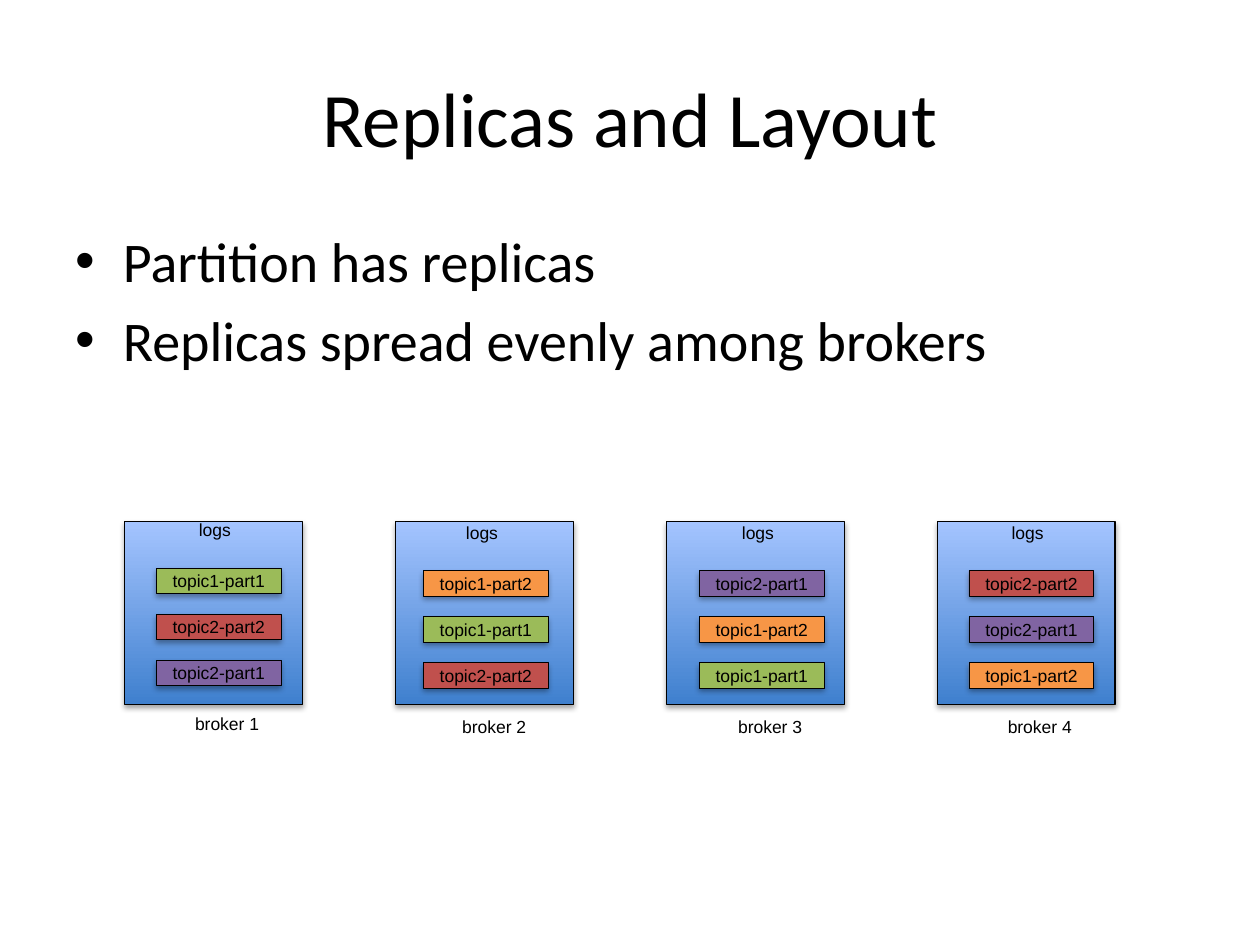
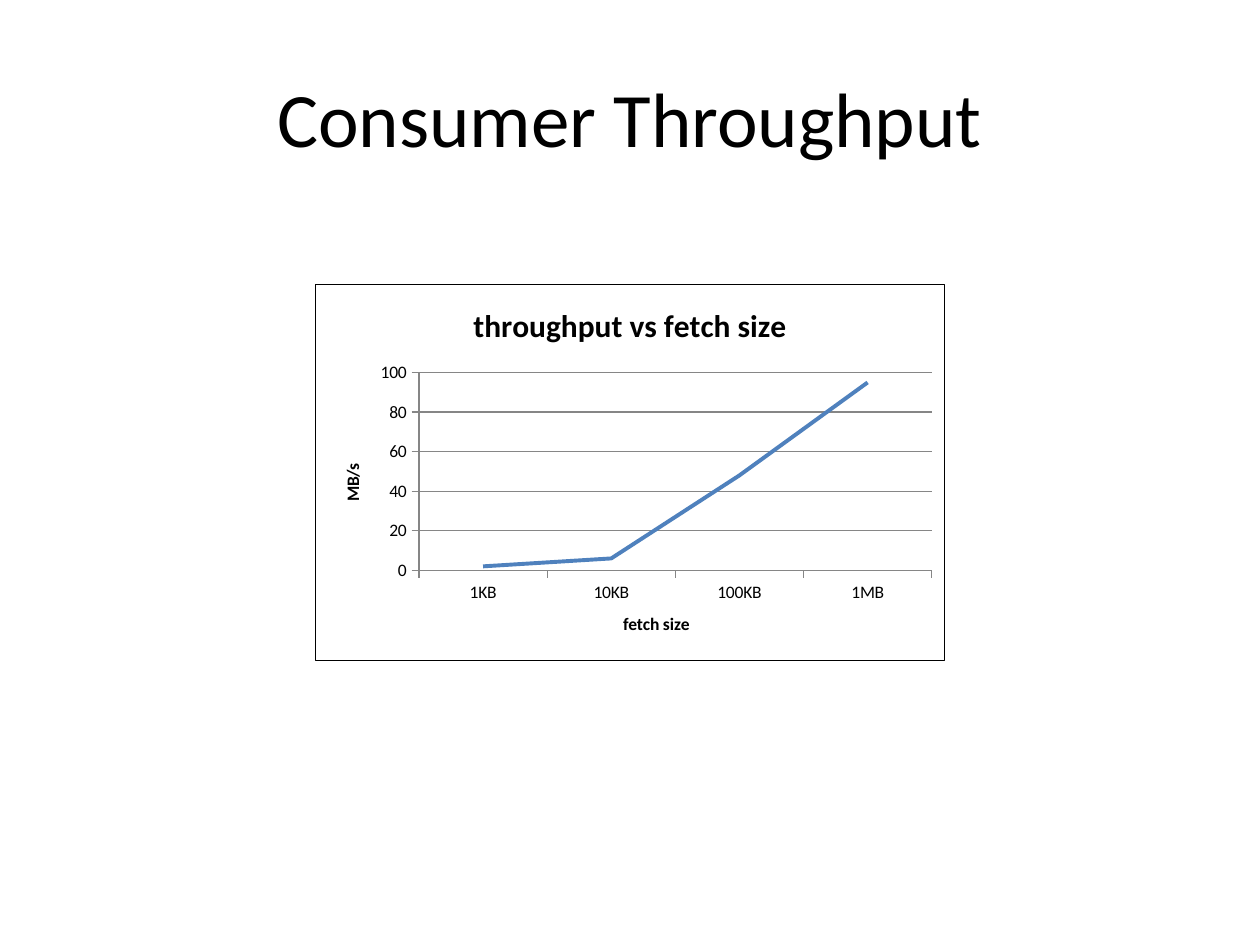
from lxml import etree
from pptx import Presentation
from pptx.chart.data import CategoryChartData as Data
from pptx.dml.color import RGBColor as RGB
from pptx.enum.chart import XL_CHART_TYPE as Kind, XL_TICK_MARK as Tick
from pptx.enum.shapes import MSO_SHAPE as Shape
from pptx.enum.text import MSO_ANCHOR as Anchor, PP_ALIGN as Align
from pptx.util import Inches, Pt

HUES = {
    "ink": "000000", "grid": "868686", "curve": "4F81BD",
    "low": "3F80CE", "high": "A4C4FF",
    "topic1-part1": "9BBB59", "topic1-part2": "F79646",
    "topic2-part1": "8064A2", "topic2-part2": "C0504D",
}
HEAD, LABEL = "Calibri", "Arial"

# Brokers: log offset inside the box, then partitions from top to bottom
BROKERS = [
    (0.25, 0.37, ["topic1-part1", "topic2-part2", "topic2-part1"]),
    (0.22, 0.39, ["topic1-part2", "topic1-part1", "topic2-part2"]),
    (0.26, 0.39, ["topic2-part1", "topic1-part2", "topic1-part1"]),
    (0.25, 0.39, ["topic2-part2", "topic2-part1", "topic1-part2"]),
]
PITCH, BOX_W, BOX_H = 2.15, 1.41, 1.45
CHIP_W, CHIP_H, CHIP_GAP = 0.99, 0.2, 0.365


def hue(name):
    return RGB.from_string(HUES[name])


def style(font, size, face, bold=None):
    font.size, font.name, font.bold = Pt(size), face, bold
    font.color.rgb = hue("ink")


def write(para, text, size, face, bold=None):
    run = para.add_run()
    run.text = text
    style(run.font, size, face, bold)


def place(shape, x, y, w, h):
    shape.left, shape.top = Inches(x), Inches(y)
    shape.width, shape.height = Inches(w), Inches(h)


def start(deck, layout, title):
    """Add a slide with the shared title style."""
    slide = deck.slides.add_slide(deck.slide_layouts[layout])
    place(slide.shapes.title, 0.5, 0.3, 9, 1.25)
    para = slide.shapes.title.text_frame.paragraphs[0]
    para.alignment = Align.CENTER
    write(para, title, 44, HEAD)
    return slide


def points(slide, box, lines):
    body = slide.placeholders[1]
    place(body, *box)
    frame = body.text_frame
    for i, line in enumerate(lines):
        para = frame.add_paragraph() if i else frame.paragraphs[0]
        write(para, line, 32, HEAD)


def block(slide, x, y, w, h, weight):
    """Outlined rectangle that keeps the theme's soft shadow."""
    rect = slide.shapes.add_shape(
        Shape.RECTANGLE, Inches(x), Inches(y), Inches(w), Inches(h))
    rect.line.color.rgb = hue("ink")
    rect.line.width = Pt(weight)
    return rect


def label(slide, x, y, w, text):
    box = slide.shapes.add_textbox(
        Inches(x), Inches(y), Inches(w), Inches(0.27))
    box.text_frame.word_wrap = True
    write(box.text_frame.paragraphs[0], text, 10, LABEL)


def chip(slide, x, y, name):
    rect = block(slide, x, y, CHIP_W, CHIP_H, 0.25)
    rect.fill.solid()
    rect.fill.fore_color.rgb = hue(name)
    frame = rect.text_frame
    frame.vertical_anchor = Anchor.MIDDLE
    frame.paragraphs[0].alignment = Align.CENTER
    write(frame.paragraphs[0], name, 10, LABEL)


def broker(slide, x, y, name, dx, dy, parts):
    # Server box, light at the top
    rect = block(slide, x, y, BOX_W, BOX_H, 0.75)
    rect.fill.gradient()
    rect.fill.gradient_angle = 90
    for stop, tone, pos in zip(rect.fill.gradient_stops, ("low", "high"), (0, 1)):
        stop.color.rgb, stop.position = hue(tone), pos
    # Logs and captions
    left, top = x + dx, y + dy
    for i, part in enumerate(parts):
        chip(slide, left, top + i * CHIP_GAP, part)
    label(slide, left + 0.24, top - 0.44, 0.57, "logs")
    label(slide, left + 0.21, top + 1.1, 0.84, name)


def axis_look(axis, title):
    axis.has_title = True
    write(axis.axis_title.text_frame.paragraphs[0], title, 10, HEAD, True)
    axis.major_tick_mark = Tick.OUTSIDE
    axis.format.line.color.rgb = hue("grid")
    style(axis.tick_labels.font, 10, HEAD)


def frame_chart(chart):
    """Give the chart area a thin outline."""
    c = "http://schemas.openxmlformats.org/drawingml/2006/chart"
    a = "http://schemas.openxmlformats.org/drawingml/2006/main"
    area = etree.fromstring(
        f'<c:spPr xmlns:c="{c}" xmlns:a="{a}"><a:ln w="{Pt(0.75)}"><a:solidFill>'
        f'<a:srgbClr val="{HUES["ink"]}"/></a:solidFill></a:ln></c:spPr>')
    chart.element.find(f"{{{c}}}chart").addnext(area)


def graph(slide, x, y, w, h):
    data = Data()
    data.categories = ["1KB", "10KB", "100KB", "1MB"]
    data.add_series("Series 1", [2, 6, 48, 95])
    chart = slide.shapes.add_chart(
        Kind.LINE, Inches(x), Inches(y), Inches(w), Inches(h), data).chart
    style(chart.font, 10, HEAD)
    chart.has_legend = False
    chart.has_title = True
    write(chart.chart_title.text_frame.paragraphs[0],
          "throughput vs fetch size", 18, HEAD, True)
    # Axes and grid
    axis_look(chart.category_axis, "fetch size")
    scale = chart.value_axis
    axis_look(scale, "MB/s")
    scale.minimum_scale, scale.maximum_scale, scale.major_unit = 0, 100, 20
    scale.has_major_gridlines = True
    scale.major_gridlines.format.line.color.rgb = hue("grid")
    # Curve
    plot = chart.plots[0]
    plot.vary_by_categories = False
    curve = plot.series[0]
    curve.smooth = False
    curve.format.line.color.rgb = hue("curve")
    curve.format.line.width = Pt(2.25)
    frame_chart(chart)


def layout_slide(deck):
    slide = start(deck, 1, "Replicas and Layout")
    points(slide, (0.5, 1.75, 9, 1.55),
           ["Partition has replicas", "Replicas spread evenly among brokers"])
    for i, spec_row in enumerate(BROKERS):
        broker(slide, 0.99 + i * PITCH, 4.14, f"broker {i + 1}", *spec_row)


def speed_slide(deck):
    slide = start(deck, 5, "Consumer Throughput")
    graph(slide, 2.5, 2.25, 5, 3)


def main():
    deck = Presentation()
    deck.slide_width, deck.slide_height = Inches(10), Inches(7.5)
    layout_slide(deck)
    speed_slide(deck)
    deck.save("out.pptx")


if __name__ == "__main__":
    main()
